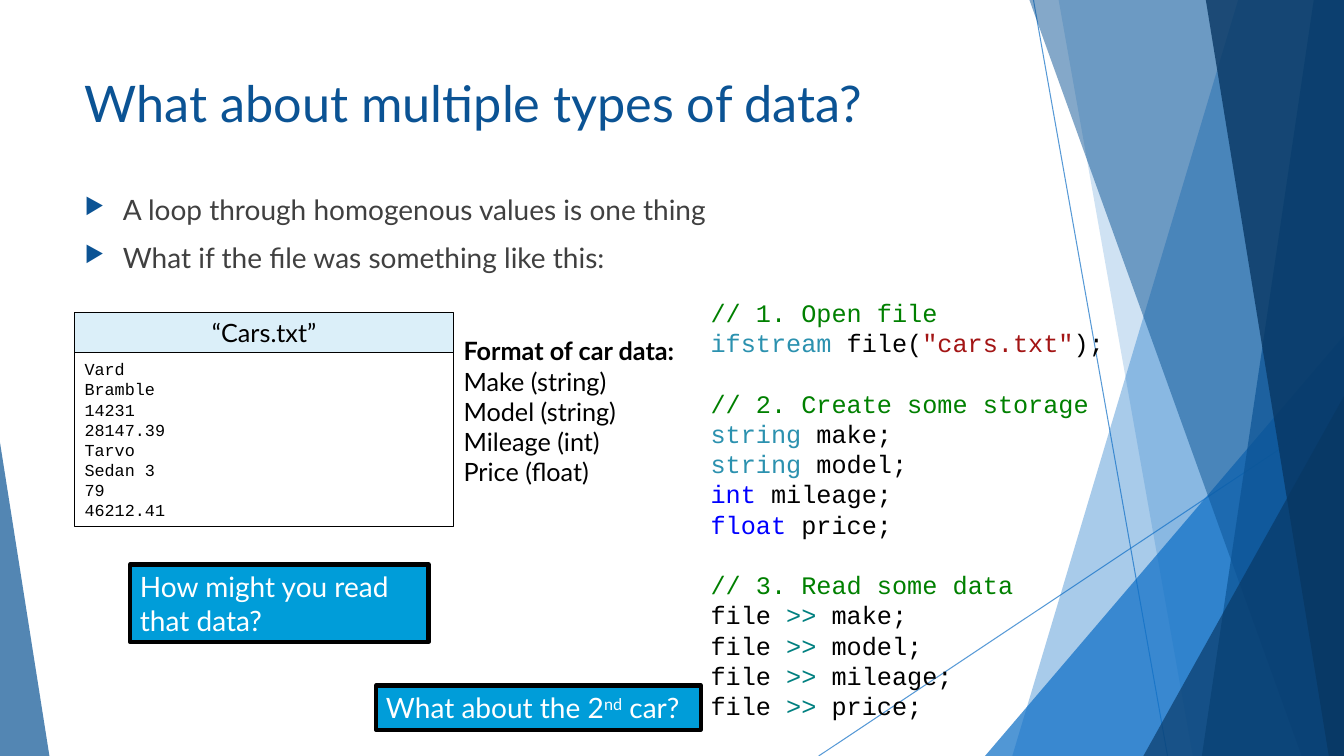
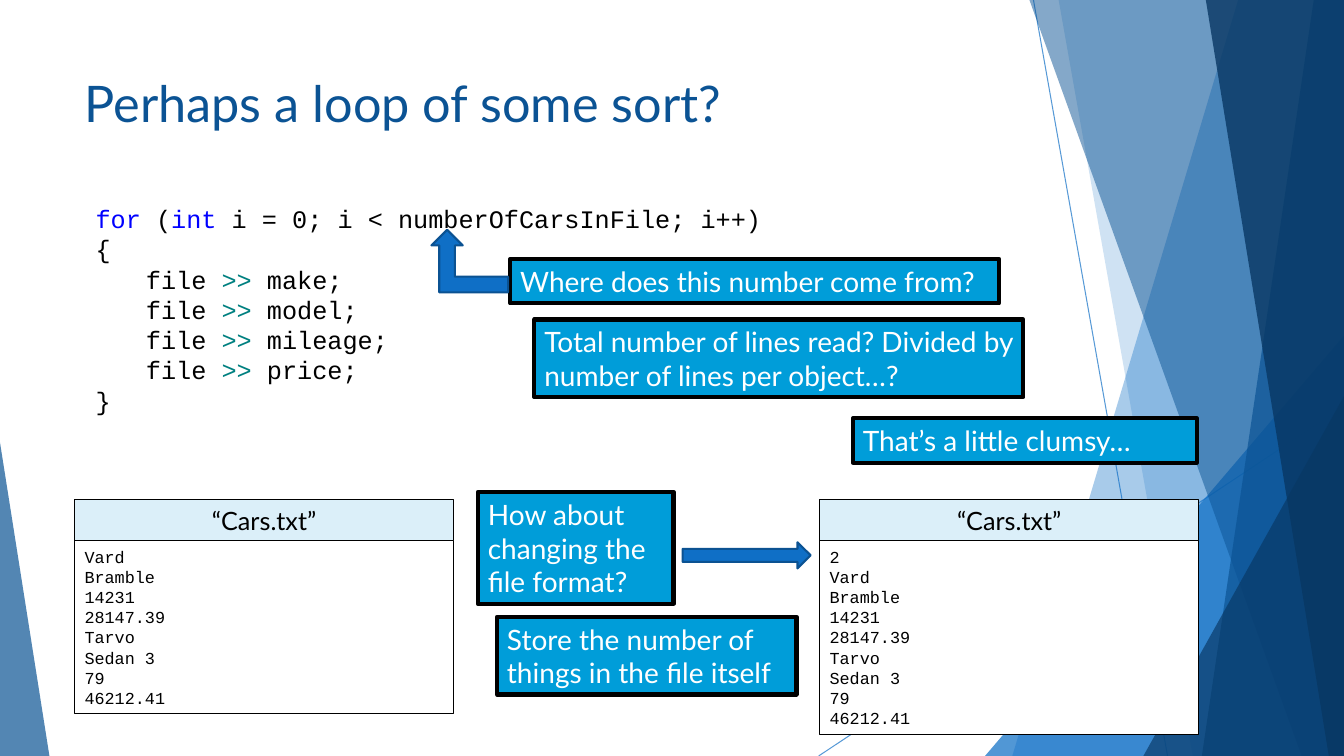
from dataclasses import dataclass
from typing import NamedTuple

import lxml.etree
import pptx
import pptx.dml.color
import pptx.enum.shapes
import pptx.enum.text
import pptx.oxml.ns
import pptx.util

Pt = pptx.util.Pt
RGBColor = pptx.dml.color.RGBColor
SHAPE = pptx.enum.shapes.MSO_SHAPE
ALIGN = pptx.enum.text.PP_ALIGN
ANCHOR = pptx.enum.text.MSO_ANCHOR
qn = pptx.oxml.ns.qn

# Grid: square cells, ten to the inch
CELL = pptx.util.Inches(0.1)
COLS, ROWS = 133.3, 75
MARGIN = 7.4

# Colours
BLACK = RGBColor(0x00, 0x00, 0x00)
WHITE = RGBColor(0xFF, 0xFF, 0xFF)
GREY = RGBColor(0x40, 0x40, 0x40)
BLUE = RGBColor(0x0F, 0x6F, 0xC6)
DEEP_BLUE = RGBColor(0x0B, 0x53, 0x94)
NAVY = RGBColor(0x08, 0x37, 0x63)
ARROW_EDGE = RGBColor(0x0B, 0x52, 0x92)
CYAN = RGBColor(0x00, 0x9D, 0xD9)
PALE_BLUE = RGBColor(0xDB, 0xEF, 0xF9)
COMMENT = RGBColor(0x00, 0x80, 0x00)
TYPE = RGBColor(0x2B, 0x91, 0xAF)
STRING = RGBColor(0xA3, 0x15, 0x15)
KEYWORD = RGBColor(0x00, 0x00, 0xFF)
OPERATOR = RGBColor(0x00, 0x80, 0x80)

SANS, MONO = "Lato", "Courier New"
CODE_SIZE = 18
LINE_HEIGHT = 1.2


class Box(NamedTuple):
    col: float
    row: float
    cols: float
    rows: float

    def emu(self) -> list[int]:
        return [round(v * CELL) for v in self]


class Run(NamedTuple):
    text: str
    color: RGBColor | None = None
    bold: bool = False
    raised: bool = False


@dataclass
class Para:
    runs: list[Run]
    before: float = 0
    indent: float = 0
    bullet: bool = False


class Facet(NamedTuple):
    top: float
    bottom: float
    color: RGBColor
    alpha: int


class Corner(NamedTuple):
    box: Box
    peak: float
    color: RGBColor
    alpha: int


class Ray(NamedTuple):
    start: tuple[float, float]
    end: tuple[float, float]


class Callout(NamedTuple):
    box: Box
    runs: list[Run]


RAYS = [Ray((102.5, 0), (115.8, ROWS)), Ray((COLS, 40.3), (81.2, ROWS))]
FACETS_BACK = [Facet(122.8, 100.4, BLUE, 36), Facet(105, 118.3, BLUE, 20)]
FACETS_FRONT = [
    Facet(102.1, 129.1, DEEP_BLUE, 50),
    Facet(130.3, 119.2, DEEP_BLUE, 70),
    Facet(119.6, 131.8, NAVY, 80),
]
CORNER_BACK = Corner(Box(97.7, 33.3, 35.6, 41.7), 1, BLUE, 72)
CORNERS_FRONT = [
    Corner(Box(113.4, 39.3, 19.9, 35.7), 1, NAVY, 66),
    Corner(Box(0, 43.9, 4.9, 31.1), 0, DEEP_BLUE, 70),
]
CARS = ["Vard", "Bramble", "14231", "28147.39", "Tarvo", "Sedan 3", "79", "46212.41"]
FIELDS = ["make", "model", "mileage", "price"]


# Text
def add_text(sp, paras: list[Para], *, font: str = SANS, size: float = CODE_SIZE,
             color: RGBColor = BLACK, align=ALIGN.LEFT, anchor=ANCHOR.TOP) -> None:
    tf = sp.text_frame
    tf.word_wrap = True
    tf.auto_size = pptx.enum.text.MSO_AUTO_SIZE.NONE
    tf.vertical_anchor = anchor
    for i, para in enumerate(paras):
        p = tf.paragraphs[0] if i == 0 else tf.add_paragraph()
        p.alignment = align
        p.space_before = Pt(para.before)
        if font == MONO:
            p.line_spacing = Pt(size * LINE_HEIGHT)
        pPr = p._p.get_or_add_pPr()
        if para.indent:
            pPr.set("marL", str(round(para.indent * CELL)))
        if para.bullet:
            pPr.set("indent", str(-round(para.indent * CELL)))
            bu_color = lxml.etree.SubElement(pPr, qn("a:buClr"))
            lxml.etree.SubElement(bu_color, qn("a:srgbClr"), val=str(DEEP_BLUE))
            lxml.etree.SubElement(pPr, qn("a:buSzPct"), val="80000")
            lxml.etree.SubElement(pPr, qn("a:buChar"), char="▶")
        for run in para.runs:
            r = p.add_run()
            r.text = run.text
            r.font.name, r.font.size, r.font.bold = font, Pt(size), run.bold
            r.font.color.rgb = color if run.color is None else run.color
            if run.raised:
                r.font._element.set("baseline", "30000")


def plain(lines: list[str]) -> list[Para]:
    return [Para([Run(line)]) for line in lines]


def add_textbox(s, box: Box, paras: list[Para], **fmt) -> None:
    add_text(s.shapes.add_textbox(*box.emu()), paras, **fmt)


# Shapes
def paint(sp, fill: RGBColor, line: RGBColor | None = None, width: float = 0) -> None:
    sp.shadow.inherit = False
    sp.fill.solid()
    sp.fill.fore_color.rgb = fill
    if line is None:
        sp.line.fill.background()
    else:
        sp.line.color.rgb = line
        sp.line.width = Pt(width)


def set_alpha(sp, percent: int) -> None:
    for color in sp.element.iter(qn("a:srgbClr")):
        lxml.etree.SubElement(color, qn("a:alpha"), val=str(percent * 1000))


def add_shape(s, kind, box: Box, fill: RGBColor, line: RGBColor | None = None,
              width: float = 0):
    sp = s.shapes.add_shape(kind, *box.emu())
    paint(sp, fill, line, width)
    return sp


def add_callout(s, callout: Callout) -> None:
    sp = add_shape(s, SHAPE.RECTANGLE, callout.box, CYAN, BLACK, 3)
    add_text(sp, [Para(callout.runs)], size=20, color=WHITE, anchor=ANCHOR.MIDDLE)


def add_file_card(s, col: float, row: float, lines: list[str]) -> None:
    head = Box(col, row, 37.6, 4)
    body = Box(col, row + head.rows, head.cols, 1.15 + 2.01 * len(lines))
    sp = add_shape(s, SHAPE.RECTANGLE, head, PALE_BLUE, BLACK, 0.75)
    add_text(sp, plain(["“Cars.txt”"]), align=ALIGN.CENTER, anchor=ANCHOR.MIDDLE)
    sp = add_shape(s, SHAPE.RECTANGLE, body, WHITE, BLACK, 0.75)
    add_text(sp, plain(lines), font=MONO, size=12, anchor=ANCHOR.MIDDLE)


# Code lines
def declare(kind: str, name: str, color: RGBColor) -> Para:
    return Para([Run(kind, color), Run(f" {name};")])


def read_fields(indent: float = 0) -> list[Para]:
    return [Para([Run("file "), Run(">>", OPERATOR), Run(f" {name};")], indent=indent)
            for name in FIELDS]


def comment(text: str, before: float = 0) -> Para:
    return Para([Run(text, COMMENT)], before=before)


# Shared background
def add_facet(s, facet: Facet):
    builder = s.shapes.build_freeform(round(facet.top * CELL), 0)
    corners = [(COLS, 0), (COLS, ROWS), (facet.bottom, ROWS)]
    builder.add_line_segments([(round(x * CELL), round(y * CELL)) for x, y in corners])
    sp = builder.convert_to_shape()
    paint(sp, facet.color)
    set_alpha(sp, facet.alpha)
    return sp


def add_corner(s, corner: Corner):
    sp = add_shape(s, SHAPE.ISOSCELES_TRIANGLE, corner.box, corner.color)
    sp.adjustments[0] = corner.peak
    set_alpha(sp, corner.alpha)
    return sp


def add_ray(s, ray: Ray):
    ends = [round(v * CELL) for v in (*ray.start, *ray.end)]
    sp = s.shapes.add_connector(pptx.enum.shapes.MSO_CONNECTOR.STRAIGHT, *ends)
    sp.line.color.rgb = BLUE
    sp.line.width = Pt(0.75)
    lxml.etree.SubElement(sp.element.spPr, qn("a:effectLst"))
    set_alpha(sp, 70)
    return sp


def decorate_layout(layout, s) -> None:
    """Draw the background on a slide, then hand it to the layout."""
    for ph in list(layout.placeholders):
        if ph.placeholder_format.type != pptx.enum.shapes.PP_PLACEHOLDER.TITLE:
            ph.element.getparent().remove(ph.element)
    parts = [add_ray(s, ray) for ray in RAYS]
    parts += [add_facet(s, facet) for facet in FACETS_BACK]
    parts.append(add_corner(s, CORNER_BACK))
    parts += [add_facet(s, facet) for facet in FACETS_FRONT]
    parts += [add_corner(s, corner) for corner in CORNERS_FRONT]
    for sp in parts:
        layout.shapes.element.append(sp.element)


def set_title(s, text: str) -> None:
    sp = s.shapes.title
    sp.left, sp.top, sp.width, sp.height = Box(MARGIN, 6.7, 94, 8.5).emu()
    add_text(sp, plain([text]), size=36, color=DEEP_BLUE)


# Slides
def fill_types_slide(s) -> None:
    set_title(s, "What about multiple types of data?")
    bullets = ["A loop through homogenous values is one thing",
               "What if the file was something like this:"]
    add_textbox(s, Box(MARGIN, 18.6, 94, 10.3),
                [Para([Run(b)], before=10, indent=3.8, bullet=True) for b in bullets],
                size=20, color=GREY)
    add_file_card(s, MARGIN, 31, CARS)
    formats = ["Make (string)", "Model (string)", "Mileage (int)", "Price (float)"]
    add_textbox(s, Box(45, 32.8, 25.6, 16.2),
                [Para([Run("Format of car data:", bold=True)]), *plain(formats)])
    gap = CODE_SIZE * LINE_HEIGHT
    kinds = [("string", TYPE), ("string", TYPE), ("int", KEYWORD), ("float", KEYWORD)]
    code = [
        comment("// 1. Open file"),
        Para([Run("ifstream", TYPE), Run(" file("), Run('"cars.txt"', STRING), Run(");")]),
        comment("// 2. Create some storage", gap),
        *[declare(kind, name, color) for (kind, color), name in zip(kinds, FIELDS)],
        comment("// 3. Read some data", gap),
        *read_fields(),
    ]
    add_textbox(s, Box(69.5, 29, 63, 43.4), code, font=MONO)
    add_callout(s, Callout(Box(12.9, 56, 29.6, 7.7), [Run("How might you read that data?")]))
    add_callout(s, Callout(Box(37.3, 68, 32.2, 4.4), [
        Run("What about the 2"), Run("nd", raised=True), Run(" car?")]))


def fill_loop_slide(s) -> None:
    set_title(s, "Perhaps a loop of some sort?")
    code = [
        Para([Run("for", KEYWORD), Run(" ("), Run("int", KEYWORD),
              Run(" i = 0; i < numberOfCarsInFile; i++)")]),
        *plain(["{"]), *read_fields(indent=5), *plain(["}"]),
    ]
    add_textbox(s, Box(8.5, 19.7, 99.3, 22.2), code, font=MONO)
    add_file_card(s, MARGIN, 49.6, CARS)
    add_file_card(s, 81.3, 49.6, ["2", *CARS])
    callouts = [
        (Box(53, 31.7, 48.5, 7.7),
         "Total number of lines read? Divided by number of lines per object…?"),
        (Box(47.4, 48.8, 19.4, 11.1), "How about changing the file format?"),
        (Box(84.6, 41.5, 34.1, 4.4), "That’s a little clumsy…"),
        (Box(50.6, 25.7, 48.5, 4.4), "Where does this number come from?"),
        (Box(49.3, 61.2, 29.7, 7.7), "Store the number of things in the file itself"),
    ]
    for box, text in callouts:
        add_callout(s, Callout(box, [Run(text)]))
    add_shape(s, SHAPE.RIGHT_ARROW, Box(67.7, 53.8, 12.7, 2.6), BLUE, ARROW_EDGE, 1.5)
    sp = add_shape(s, SHAPE.BENT_UP_ARROW, Box(42.8, 22.8, 7.6, 6.2), BLUE, ARROW_EDGE, 1.5)
    sp.element.spPr.find(qn("a:xfrm")).set("flipH", "1")


def main() -> None:
    prs = pptx.Presentation()
    prs.slide_width, prs.slide_height = round(COLS * CELL), ROWS * CELL
    layout = prs.slide_layouts[5]
    slides = [prs.slides.add_slide(layout) for _ in range(2)]
    decorate_layout(layout, slides[0])
    fill_types_slide(slides[0])
    fill_loop_slide(slides[1])
    prs.save("out.pptx")


if __name__ == "__main__":
    main()
